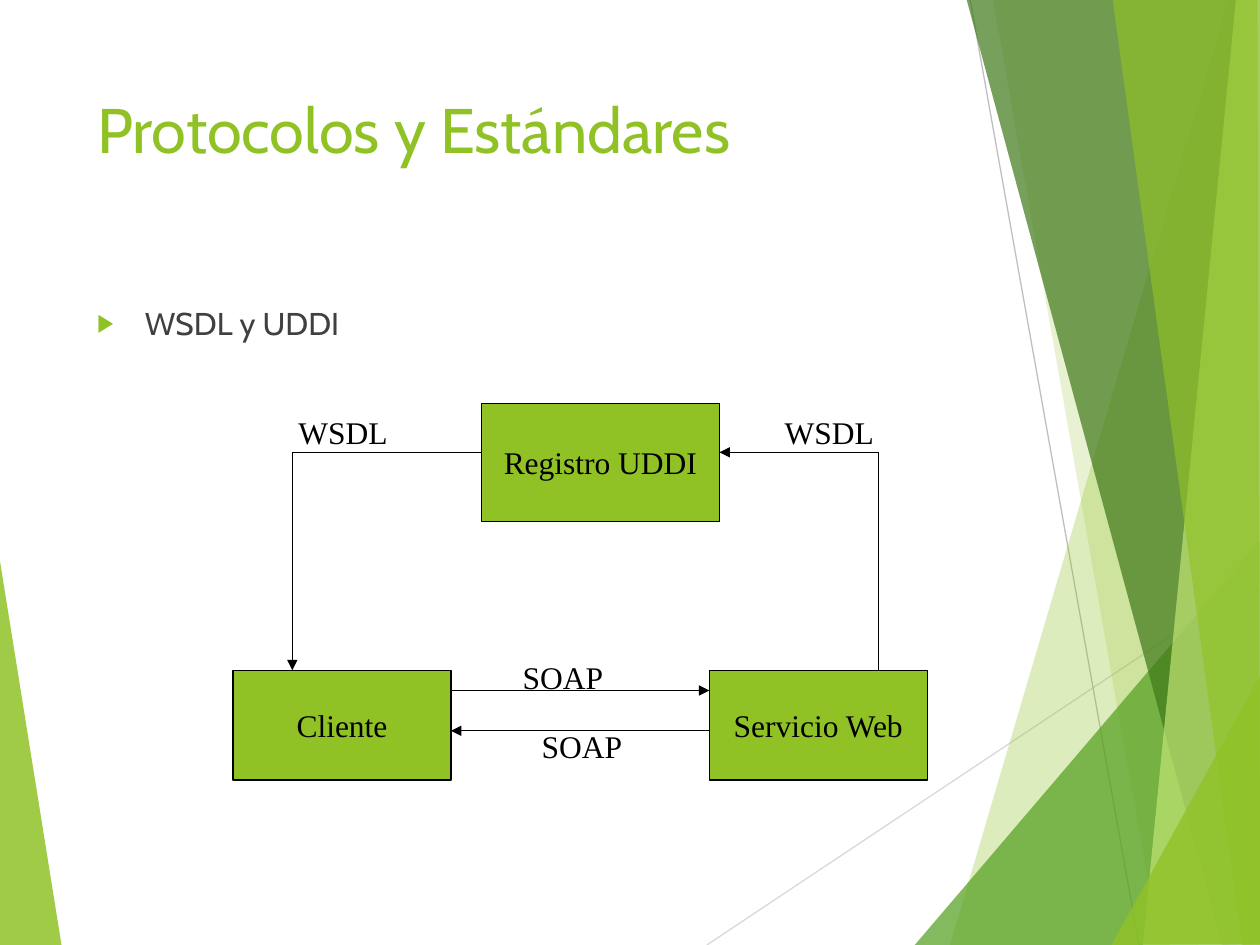
import dataclasses

import lxml.etree
import pptx
import pptx.dml.color
import pptx.enum.shapes
import pptx.enum.text
import pptx.oxml
import pptx.oxml.ns
import pptx.util

COLUMNS, ROWS = 100, 75
CELL = pptx.util.Inches(10) / COLUMNS


@dataclasses.dataclass(frozen=True)
class Theme:
    """Colours, fonts and type sizes of the slide."""
    green: str = "90C226"
    leaf: str = "54A021"
    forest: str = "3F7819"
    lime: str = "C0E474"
    pale_rule: str = "D9D9D9"
    grey_rule: str = "BFBFBF"
    ink: str = "000000"
    body: str = "404040"
    heading_font: str = "Cabin"
    diagram_font: str = "Times New Roman"
    title_size: int = 36
    text_size: int = 18
    rule_width: float = 0.75


THEME = Theme()

FACETS = [
    ([(97.5, 0), (75.4, 75), (100.2, 75.1), (100.1, 0.1)], THEME.green, 30),
    ([(78.8, -0.1), (92, 75), (100.1, 75), (100.1, -0.1)], THEME.green, 20),
    ([(72.6, 75), (100, 42.9), (100.1, 75)], THEME.leaf, 72),
    ([(76.7, -0.1), (97, 75), (100.1, 74.9), (100.1, -0.1)], THEME.forest, 70),
    ([(98.1, -0.1), (90.7, 75), (100.1, 75), (100, -0.1)], THEME.lime, 70),
    ([(88.3, -0.1), (98.6, 75), (100, 75), (99.8, -0.1)], THEME.green, 65),
    ([(88.2, 75), (100.1, 53.5), (100.1, 74.9)], THEME.green, 80),
]
LEFT_FACET = ([(-0.1, 43.9), (4.9, 75.1), (-0.1, 75)], THEME.green, 85)


def cells(*counts):
    """Convert grid counts to lengths."""
    return [pptx.util.Emu(round(count * CELL)) for count in counts]


def rgb(code):
    """Return the colour for a hex code."""
    return pptx.dml.color.RGBColor.from_string(code)


def paint(part, color):
    """Give a shape or font a solid fill."""
    part.fill.solid()
    part.fill.fore_color.rgb = rgb(color)


def add_facet(slide, corners, color, opacity):
    """Draw one translucent polygon of the backdrop."""
    start, *others = [cells(*corner) for corner in corners]
    builder = slide.shapes.build_freeform(*start)
    builder.add_line_segments(others)
    facet = builder.convert_to_shape()
    facet.shadow.inherit = False
    facet.line.fill.background()
    paint(facet, color)
    tint = facet.fill._xPr.find(".//" + pptx.oxml.ns.qn("a:srgbClr"))
    lxml.etree.SubElement(tint, pptx.oxml.ns.qn("a:alpha"), val=str(opacity * 1000))


def add_rule(slide, start, end, color=THEME.ink, arrow=False):
    """Draw a straight line, with an arrowhead at its end if asked."""
    rule = slide.shapes.add_connector(
        pptx.enum.shapes.MSO_CONNECTOR.STRAIGHT, *cells(*start, *end))
    rule.line.color.rgb = rgb(color)
    rule.line.width = pptx.util.Pt(THEME.rule_width)
    if arrow:
        lxml.etree.SubElement(
            rule.line._get_or_add_ln(), pptx.oxml.ns.qn("a:tailEnd"), type="triangle")
    lxml.etree.SubElement(rule.element.spPr, pptx.oxml.ns.qn("a:effectLst"))


def write(paragraph, words, font, size, color):
    """Add one formatted run to a paragraph."""
    run = paragraph.add_run()
    run.text = words
    run.font.name = font
    run.font.size = pptx.util.Pt(size)
    run.font.color.rgb = rgb(color)


def write_diagram_text(frame, words):
    """Write unwrapped text in the diagram's type."""
    frame.word_wrap = False
    write(frame.paragraphs[0], words, THEME.diagram_font, THEME.text_size, THEME.ink)


def add_node(slide, words, place):
    """Draw a labelled box of the diagram."""
    node = slide.shapes.add_shape(
        pptx.enum.shapes.MSO_SHAPE.RECTANGLE, *cells(*place))
    node.shadow.inherit = False
    paint(node, THEME.green)
    node.line.color.rgb = rgb(THEME.ink)
    node.line.width = pptx.util.Pt(THEME.rule_width)
    node.text_frame.vertical_anchor = pptx.enum.text.MSO_ANCHOR.MIDDLE
    node.text_frame.paragraphs[0].alignment = pptx.enum.text.PP_ALIGN.CENTER
    write_diagram_text(node.text_frame, words)


def add_label(slide, words, left, top, width):
    """Name the protocol beside a line."""
    label = slide.shapes.add_textbox(*cells(left, top, width, 4))
    label.text_frame.auto_size = pptx.enum.text.MSO_AUTO_SIZE.SHAPE_TO_FIT_TEXT
    write_diagram_text(label.text_frame, words)


def place_placeholder(placeholder, place):
    """Move a placeholder above the backdrop and return its first paragraph."""
    placeholder.left, placeholder.top, placeholder.width, placeholder.height = cells(*place)
    placeholder.element.getparent().append(placeholder.element)
    frame = placeholder.text_frame
    frame.word_wrap = True
    frame.auto_size = pptx.enum.text.MSO_AUTO_SIZE.NONE
    frame.vertical_anchor = pptx.enum.text.MSO_ANCHOR.TOP
    paragraph = frame.paragraphs[0]
    paragraph.alignment = pptx.enum.text.PP_ALIGN.LEFT
    return paragraph


def add_bullet(paragraph):
    """Give a paragraph a green triangle and a hanging indent."""
    properties = paragraph._p.get_or_add_pPr()
    indent = pptx.util.Inches(0.38)
    properties.set("marL", str(indent))
    properties.set("indent", str(-indent))
    tint = lxml.etree.SubElement(properties, pptx.oxml.ns.qn("a:buClr"))
    lxml.etree.SubElement(tint, pptx.oxml.ns.qn("a:srgbClr"), val=THEME.green)
    lxml.etree.SubElement(properties, pptx.oxml.ns.qn("a:buSzPct"), val="80000")
    lxml.etree.SubElement(properties, pptx.oxml.ns.qn("a:buChar"), char="▶")


def add_backdrop(slide):
    """Draw the facets and thin rules behind the content."""
    add_facet(slide, *LEFT_FACET)
    add_rule(slide, (56.1, 75), (100.1, 45.7), THEME.pale_rule)
    add_rule(slide, (77, 0), (90.4, 75), THEME.grey_rule)
    for facet in FACETS:
        add_facet(slide, *facet)


def add_text(slide):
    """Fill the title and the list."""
    title = place_placeholder(slide.shapes.title, (6.7, 6.7, 69.4, 14.4))
    write(title, "Protocolos y Estándares", THEME.heading_font,
          THEME.title_size, THEME.green)
    topic = place_placeholder(slide.placeholders[1], (6.7, 23.6, 69.4, 42.4))
    topic.space_before = pptx.util.Pt(10)
    add_bullet(topic)
    write(topic, "WSDL y UDDI", THEME.heading_font, THEME.text_size, THEME.body)


def add_diagram(slide):
    """Draw the registry, client and service with their messages."""
    client_left, service_left, node_width, node_top = 18.5, 56.3, 17.3, 53.2
    registry_left, registry_width, publish_row = 38.2, 18.9, 35.9
    client_right = client_left + node_width
    client_column, service_column = 23.2, 69.7
    request_row, reply_row = 54.8, 58

    for words, left in (("Cliente", client_left), ("Servicio Web", service_left)):
        add_node(slide, words, (left, node_top, node_width, 8.7))
    add_rule(slide, (client_right, request_row), (service_left, request_row), arrow=True)
    add_rule(slide, (service_left, reply_row), (client_right, reply_row), arrow=True)
    add_label(slide, "SOAP", 40.5, 51.7, 8.5)
    add_label(slide, "SOAP", 42, 57.2, 8.5)

    add_node(slide, "Registro UDDI", (registry_left, 32, registry_width, 9.4))
    routes = [
        ((service_column, node_top), (service_column, publish_row),
         (registry_left + registry_width, publish_row)),
        ((registry_left, publish_row), (client_column, publish_row),
         (client_column, node_top)),
    ]
    for start, corner, end in routes:
        add_rule(slide, start, corner)
        add_rule(slide, corner, end, arrow=True)
    for left in (22.7, 61.3):
        add_label(slide, "WSDL", left, 32.3, 9.3)


def main():
    """Build and save the slide."""
    presentation = pptx.Presentation()
    presentation.slide_width, presentation.slide_height = cells(COLUMNS, ROWS)
    slide = presentation.slides.add_slide(presentation.slide_layouts[1])
    add_backdrop(slide)
    add_text(slide)
    add_diagram(slide)
    presentation.save("out.pptx")


if __name__ == "__main__":
    main()
